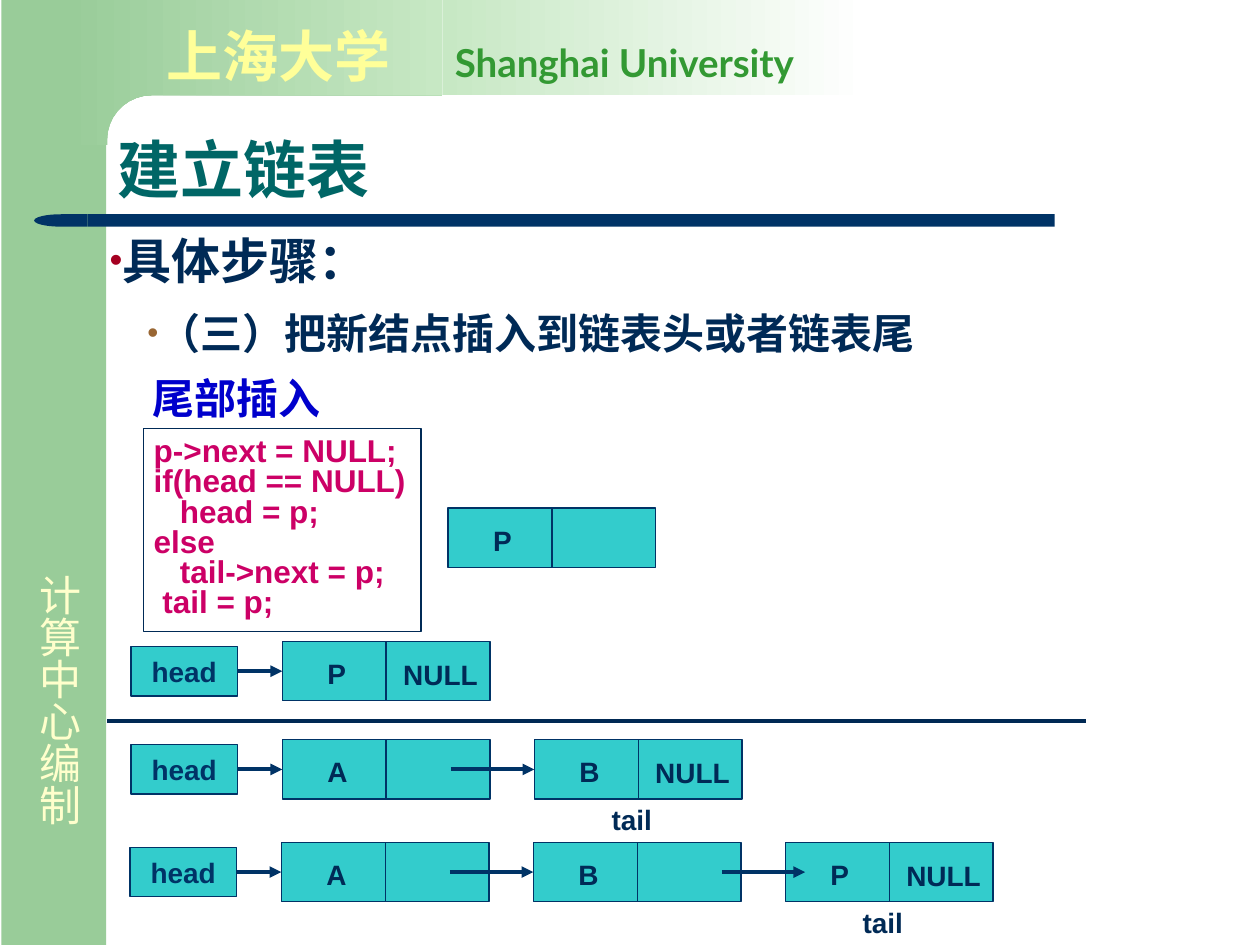
import math
from dataclasses import dataclass

import pptx
import pptx.dml.color
import pptx.enum.shapes
import pptx.enum.text
import pptx.oxml
import pptx.oxml.ns
import pptx.util
from pptx.util import Cm

SHAPES = pptx.enum.shapes.MSO_SHAPE
ALIGN = pptx.enum.text.PP_ALIGN
ANCHOR = pptx.enum.text.MSO_ANCHOR
AUTO_SIZE = pptx.enum.text.MSO_AUTO_SIZE


@dataclass(frozen=True)
class Theme:
    font: str = "Arial"
    brand_font: str = "Lato"
    green: str = "99CC99"
    pale_green: str = "C7E8C4"
    white: str = "FFFFFF"
    side_text: str = "FFFFCC"
    school: str = "FFFF99"
    brand: str = "339933"
    title: str = "006666"
    ink: str = "002A56"
    navy: str = "003366"
    divider: str = "002954"
    cell: str = "33CCCC"
    code: str = "CC0066"
    caption: str = "0000CC"
    bullets: tuple = ("A50021", "996633")
    title_size: int = 36
    school_size: int = 32
    brand_size: int = 22
    body_sizes: tuple = (28, 24)
    caption_size: int = 24
    code_size: int = 18
    label_size: int = 16
    thin: float = 0.75
    thick: float = 2.25


THEME = Theme()
NODE_WIDTH, NODE_HEIGHT, NODE_PITCH = 4.19, 1.2, 5.08
HEAD_WIDTH, HEAD_HEIGHT, HEAD_TO_NODE = 2.15, 1.0, 3.05
POINTER_START = 3.4


def rgb(value):
    return pptx.dml.color.RGBColor.from_string(value)


def drawing(tag, **attributes):
    element = pptx.oxml.parse_xml(f"<a:{tag} {pptx.oxml.ns.nsdecls('a')}/>")
    for name, value in attributes.items():
        element.set(name, str(value))
    return element


def style_font(font, size, colour, bold=True, name=THEME.font):
    font.name, font.size, font.bold = name, pptx.util.Pt(size), bold
    font.color.rgb = rgb(colour)


def write(text_frame, text, size, colour, spacing=None, align=ALIGN.LEFT, bold=True):
    text_frame.text = text
    for paragraph in text_frame.paragraphs:
        paragraph.alignment = align
        paragraph.line_spacing = spacing
        for run in paragraph.runs:
            style_font(run.font, size, colour, bold)


def set_insets(text_frame, left, top, right, bottom):
    text_frame.margin_left, text_frame.margin_top = Cm(left), Cm(top)
    text_frame.margin_right, text_frame.margin_bottom = Cm(right), Cm(bottom)


def place(shape, left, top, width, height):
    shape.left, shape.top, shape.width, shape.height = map(Cm, (left, top, width, height))


def paint(shape, fill=None, line=None):
    shape.shadow.inherit = False
    if isinstance(fill, tuple):
        shape.fill.gradient()
        shape.fill.gradient_angle = 0
        for stop, colour in zip(shape.fill.gradient_stops, fill):
            stop.color.rgb = rgb(colour)
    elif fill:
        shape.fill.solid()
        shape.fill.fore_color.rgb = rgb(fill)
    else:
        shape.fill.background()
    if line:
        shape.line.color.rgb = rgb(line)
        shape.line.width = pptx.util.Pt(THEME.thin)
    else:
        shape.line.fill.background()


def add_box(shapes, left, top, width, height, fill=None, line=None, kind=SHAPES.RECTANGLE):
    shape = shapes.add_shape(kind, Cm(left), Cm(top), Cm(width), Cm(height))
    paint(shape, fill, line)
    return shape


def add_text(shapes, left, top, width, height, wrap=True):
    text_frame = shapes.add_textbox(Cm(left), Cm(top), Cm(width), Cm(height)).text_frame
    text_frame.word_wrap = wrap
    text_frame.auto_size = AUTO_SIZE.SHAPE_TO_FIT_TEXT
    return text_frame


def add_label(shapes, text, left, top, width):
    text_frame = add_text(shapes, left, top, width, 0.56)
    set_insets(text_frame, 0, 0, 0, 0)
    write(text_frame, text, THEME.label_size, THEME.ink, spacing=0.8)


def add_line(shapes, start, end, colour, weight, arrow=False):
    connector = shapes.add_connector(
        pptx.enum.shapes.MSO_CONNECTOR.STRAIGHT, *map(Cm, (*start, *end)))
    connector.line.color.rgb = rgb(colour)
    connector.line.width = pptx.util.Pt(weight)
    if arrow:
        connector.line._get_or_add_ln().append(drawing("tailEnd", type="triangle"))
    connector._element.spPr.append(drawing("effectLst"))
    return connector


def add_side_band(slide, left, top, width, height):
    add_box(slide.shapes, left, top, width, height, THEME.green)
    text_frame = add_text(slide.shapes, left + 0.28, top + 11.33, 1.52, 5.79)
    text_frame._txBody.bodyPr.set("vert", "eaVert")
    write(text_frame, "计算中心编制", 24, THEME.side_text, bold=False)


def add_header(slide, left, top, width, height):
    inner, radius, foot = left + 0.86, 0.9, top + 2.92
    split = left + 7.62
    corner = [(inner + radius * (1 - math.sin(angle)), top + height + radius * (1 - math.cos(angle)))
              for angle in (math.radians(step) for step in range(0, 91, 10))]
    outline = [(split, top), (split, top + height), *corner, (inner, foot), (left, foot), (left, top)]
    points = [(Cm(x), Cm(y)) for x, y in outline]
    builder = slide.shapes.build_freeform(*points[0], scale=1.0)
    builder.add_line_segments(points[1:], close=True)
    paint(builder.convert_to_shape(), (THEME.green, THEME.pale_green))
    add_box(slide.shapes, split, top, left + width - split, height, (THEME.pale_green, THEME.white))

    text_frame = add_text(slide.shapes, left + 1.8, top + 0.3, 15.6, 1.6)
    write(text_frame, "上海大学\t", THEME.school_size, THEME.school)
    paragraph = text_frame.paragraphs[0]
    tabs = drawing("tabLst")
    tabs.append(drawing("tab", pos=Cm(5.82), algn="l"))
    paragraph._p.get_or_add_pPr().append(tabs)
    run = paragraph.add_run()
    run.text = "Shanghai University"
    style_font(run.font, THEME.brand_size, THEME.brand, name=THEME.brand_font)


def add_title_rule(slide, left, top, width, height):
    cap_width = 1.08
    add_box(slide.shapes, left + cap_width, top, width - cap_width, height, THEME.navy)
    cap = add_box(slide.shapes, left, top, cap_width, height, THEME.navy, kind=SHAPES.FLOWCHART_DELAY)
    cap._element.spPr.xfrm.set("flipH", "1")


def fill_title(title, left, top, width, height):
    title._element.getparent().append(title._element)
    place(title, left, top, width, height)
    title.text_frame.vertical_anchor = ANCHOR.BOTTOM
    title.text_frame.auto_size = AUTO_SIZE.NONE
    write(title.text_frame, "建立链表", THEME.title_size, THEME.title, spacing=0.9)


def fill_steps(body, left, top, width, height):
    body._element.getparent().append(body._element)
    place(body, left, top, width, height)
    text_frame = body.text_frame
    text_frame.auto_size = AUTO_SIZE.NONE
    set_insets(text_frame, 0.05, 0.03, 0.05, 0.03)
    text_frame.text = "具体步骤：\n（三）把新结点插入到链表头或者链表尾"
    indents = ((0.25, -0.25), (0.99, -0.23))
    for level, paragraph in enumerate(text_frame.paragraphs):
        paragraph.level = level
        paragraph.line_spacing = 1.2
        paragraph.space_before = pptx.util.Pt(5 * level)
        properties = paragraph._p.get_or_add_pPr()
        margin, indent = indents[level]
        properties.set("marL", str(Cm(margin)))
        properties.set("indent", str(Cm(indent)))
        colour = drawing("buClr")
        colour.append(drawing("srgbClr", val=THEME.bullets[level]))
        properties.extend([colour, drawing("buSzPct", val=75000),
                           drawing("buFont", typeface=THEME.font), drawing("buChar", char="•")])
        style_font(paragraph.runs[0].font, THEME.body_sizes[level], THEME.ink)


def add_code(slide, left, top, width, height):
    caption = add_text(slide.shapes, left - 0.08, top - 1.25, 3.91, 1.27, wrap=False)
    write(caption, "尾部插入", THEME.caption_size, THEME.caption)
    text_frame = add_box(slide.shapes, left, top, width, height, line=THEME.ink).text_frame
    set_insets(text_frame, 0.2, 0.2, 0, 0.2)
    text_frame.word_wrap = True
    text_frame.vertical_anchor = ANCHOR.TOP
    code = "p->next = NULL;\nif(head == NULL)\n   head = p;\nelse\n   tail->next = p;\n tail = p;"
    write(text_frame, code, THEME.code_size, THEME.code, spacing=0.8)


def add_node(slide, left, top, name, is_last=False):
    shapes = slide.shapes.add_group_shape().shapes
    cell = add_box(shapes, left, top, NODE_WIDTH, NODE_HEIGHT, THEME.cell, THEME.navy)
    middle = left + NODE_WIDTH / 2
    split = add_line(shapes, (middle, top), (middle, top + NODE_HEIGHT), THEME.navy, THEME.thin)
    split.begin_connect(cell, 0)
    split.end_connect(cell, 2)
    add_label(shapes, name, left + 0.91, top + 0.44, 0.69)
    if is_last:
        add_label(shapes, "NULL", left + 2.44, top + 0.46, 1.75)
    return cell


def add_linked_list(slide, left, top, names, has_tail=True, last_shift=0):
    middle = top + NODE_HEIGHT / 2
    first = left + HEAD_TO_NODE
    head = add_box(slide.shapes, left, middle - HEAD_HEIGHT / 2, HEAD_WIDTH, HEAD_HEIGHT,
                   THEME.cell, THEME.navy)
    head.text_frame.vertical_anchor = ANCHOR.MIDDLE
    write(head.text_frame, "head", THEME.label_size, THEME.navy, align=ALIGN.CENTER)
    for index, name in enumerate(names):
        is_last = index == len(names) - 1
        node_left = first + index * NODE_PITCH
        cell = add_node(slide, node_left, top, name, is_last)
        shift = last_shift if is_last else 0
        start = node_left - NODE_PITCH + POINTER_START + shift if index else left + HEAD_WIDTH
        arrow = add_line(slide.shapes, (start, middle), (node_left + shift, middle),
                         THEME.navy, THEME.thick, arrow=True)
        if not index:
            arrow.begin_connect(head, 3)
        if not shift:
            arrow.end_connect(cell, 1)
    if has_tail:
        add_label(slide.shapes, "tail", node_left + 1.56, top + 1.4, 1.75)


def main():
    presentation = pptx.Presentation()
    presentation.slide_width, presentation.slide_height = Cm(25.4), Cm(19.05)
    slide = presentation.slides.add_slide(presentation.slide_layouts[1])
    title, body = slide.placeholders
    add_side_band(slide, 0.03, 0, 2.11, 19.05)
    add_header(slide, 1.3, 0, 16.2, 1.92)
    add_title_rule(slide, 0.69, 4.32, 20.57, 0.25)
    fill_title(title, 2.11, 2.13, 22.02, 2.18)
    fill_steps(body, 2.16, 4.37, 22.2, 3.56)
    add_code(slide, 2.9, 8.64, 5.59, 4.09)
    add_node(slide, 9.03, 10.24, "P")
    add_linked_list(slide, 2.64, 12.93, "P", has_tail=False)
    add_line(slide.shapes, (2.16, 14.53), (21.89, 14.53), THEME.divider, THEME.thick)
    add_linked_list(slide, 2.64, 14.91, "AB")
    add_linked_list(slide, 2.62, 16.98, "ABP", last_shift=0.4)
    presentation.save("out.pptx")


if __name__ == "__main__":
    main()
